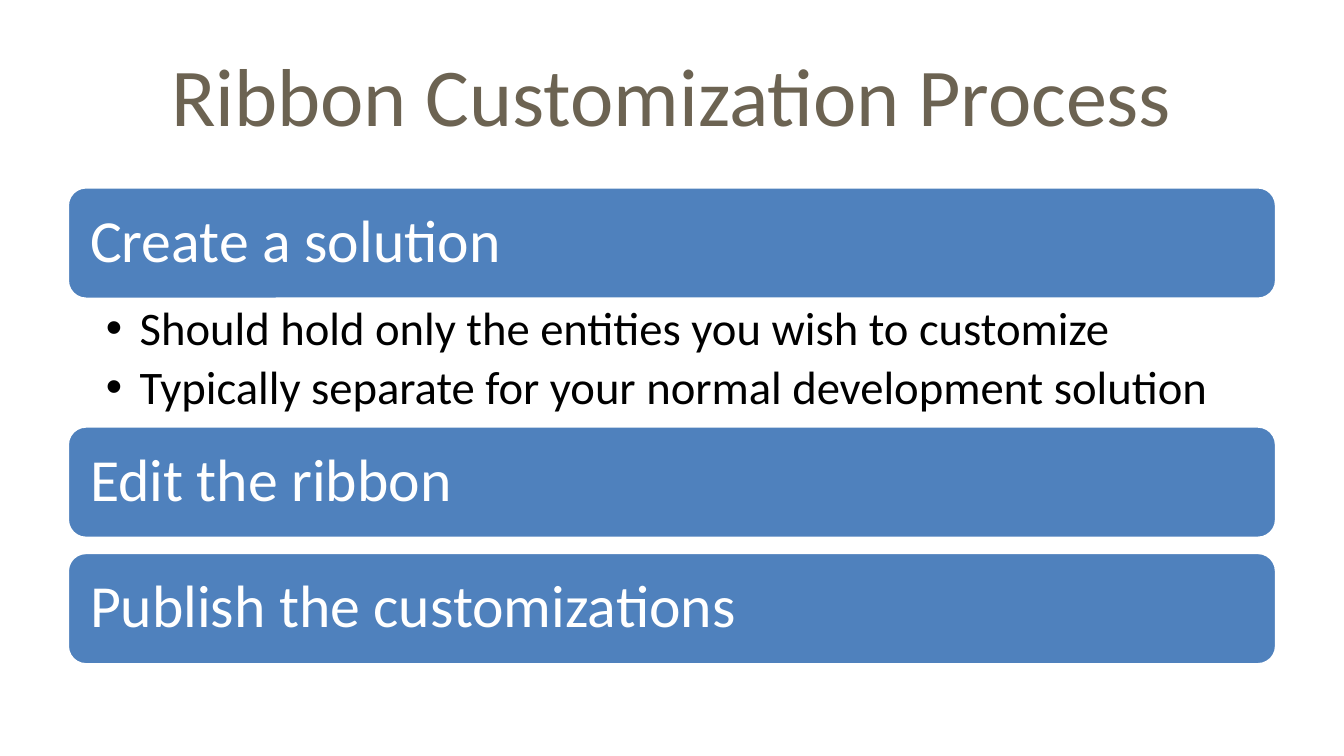
from lxml import etree
from pptx import Presentation
from pptx.dml.color import RGBColor
from pptx.enum.shapes import MSO_SHAPE
from pptx.enum.text import MSO_ANCHOR, MSO_AUTO_SIZE, PP_ALIGN
from pptx.oxml.ns import qn
from pptx.util import Cm, Pt

ROUNDED = MSO_SHAPE.ROUNDED_RECTANGLE
MIDDLE, TOP = MSO_ANCHOR.MIDDLE, MSO_ANCHOR.TOP
LEFT, CENTER = PP_ALIGN.LEFT, PP_ALIGN.CENTER
NO_AUTOFIT = MSO_AUTO_SIZE.NONE

FONT = "Calibri"
BLUE, WHITE, BLACK, BROWN = "4F81BD", "FFFFFF", "000000", "6C6352"
HEADING_HEIGHT, DETAILS_HEIGHT, GAP = 2.13, 2.39, 0.26

STEPS = [
    ("Create a solution", [
        "Should hold only the entities you wish to customize",
        "Typically separate for your normal development solution",
    ]),
    ("Edit the ribbon", []),
    ("Publish the customizations", []),
]


def color(value):
    """Turn a hex string into a colour."""
    return RGBColor.from_string(value)


def place(shape, box):
    """Move a shape to a box of left, top, width and height in centimetres."""
    shape.left, shape.top, shape.width, shape.height = map(Cm, box)


def set_frame(shape, anchor, insets):
    """Set the anchor and the left, top, right and bottom insets of a shape's text."""
    frame = shape.text_frame
    frame.word_wrap = True
    frame.auto_size = NO_AUTOFIT
    frame.vertical_anchor = anchor
    (frame.margin_left, frame.margin_top,
     frame.margin_right, frame.margin_bottom) = map(Cm, insets)
    return frame


def write(paragraph, text, *, size, fill, align=LEFT, spacing=0.9, after=0, bullet=None):
    """Write formatted text into a paragraph, with an optional bullet."""
    paragraph.alignment = align
    paragraph.line_spacing = spacing
    paragraph.space_before = Pt(0)
    paragraph.space_after = Pt(after)
    if bullet:
        paragraph.level = 1
        properties = paragraph._p.get_or_add_pPr()
        properties.set("marL", str(Cm(0.64)))
        properties.set("indent", str(-Cm(0.64)))
        etree.SubElement(properties, qn("a:buChar")).set("char", bullet)
    run = paragraph.add_run()
    run.text = text
    run.font.name = FONT
    run.font.size = Pt(size)
    run.font.color.rgb = color(fill)


def add_title(slide, box, text):
    """Fill the title placeholder."""
    title = slide.shapes.title
    place(title, box)
    frame = set_frame(title, MIDDLE, (0.25, 0.13, 0.25, 0.13))
    write(frame.paragraphs[0], text, size=44, fill=BROWN, align=CENTER, spacing=1.0)


def add_heading(slide, box, text):
    """Add the rounded bar that names a step."""
    bar = slide.shapes.add_shape(ROUNDED, *map(Cm, box))
    bar.shadow.inherit = False
    bar.fill.solid()
    bar.fill.fore_color.rgb = color(BLUE)
    bar.line.color.rgb = color(WHITE)
    bar.line.width = Pt(2)
    frame = set_frame(bar, MIDDLE, (0.33, 0.33, 0.33, 0.33))
    write(frame.paragraphs[0], text, size=32, fill=WHITE)


def add_details(slide, box, items):
    """Fill the body placeholder with the bulleted details of a step."""
    body = slide.placeholders[1]
    place(body, box)
    frame = set_frame(body, TOP, (0.73, 0.1, 0.64, 0.1))
    for index, item in enumerate(items):
        paragraph = frame.add_paragraph() if index else frame.paragraphs[0]
        write(paragraph, item, size=25, fill=BLACK, after=5, bullet="•")


def add_process(slide, left, top, width, steps):
    """Stack the steps downwards, each heading followed by its details or a gap."""
    for heading, details in steps:
        add_heading(slide, (left, top, width, HEADING_HEIGHT), heading)
        top += HEADING_HEIGHT
        if details:
            add_details(slide, (left, top, width, DETAILS_HEIGHT), details)
        top += DETAILS_HEIGHT if details else GAP


def main():
    """Build and save the presentation."""
    presentation = Presentation()
    presentation.slide_width, presentation.slide_height = Cm(25.4), Cm(14.29)
    slide = presentation.slides.add_slide(presentation.slide_layouts[1])
    add_title(slide, (1.27, 0.58, 22.86, 2.39), "Ribbon Customization Process")
    add_process(slide, 1.27, 3.53, 22.86, STEPS)
    presentation.save("out.pptx")


if __name__ == "__main__":
    main()
